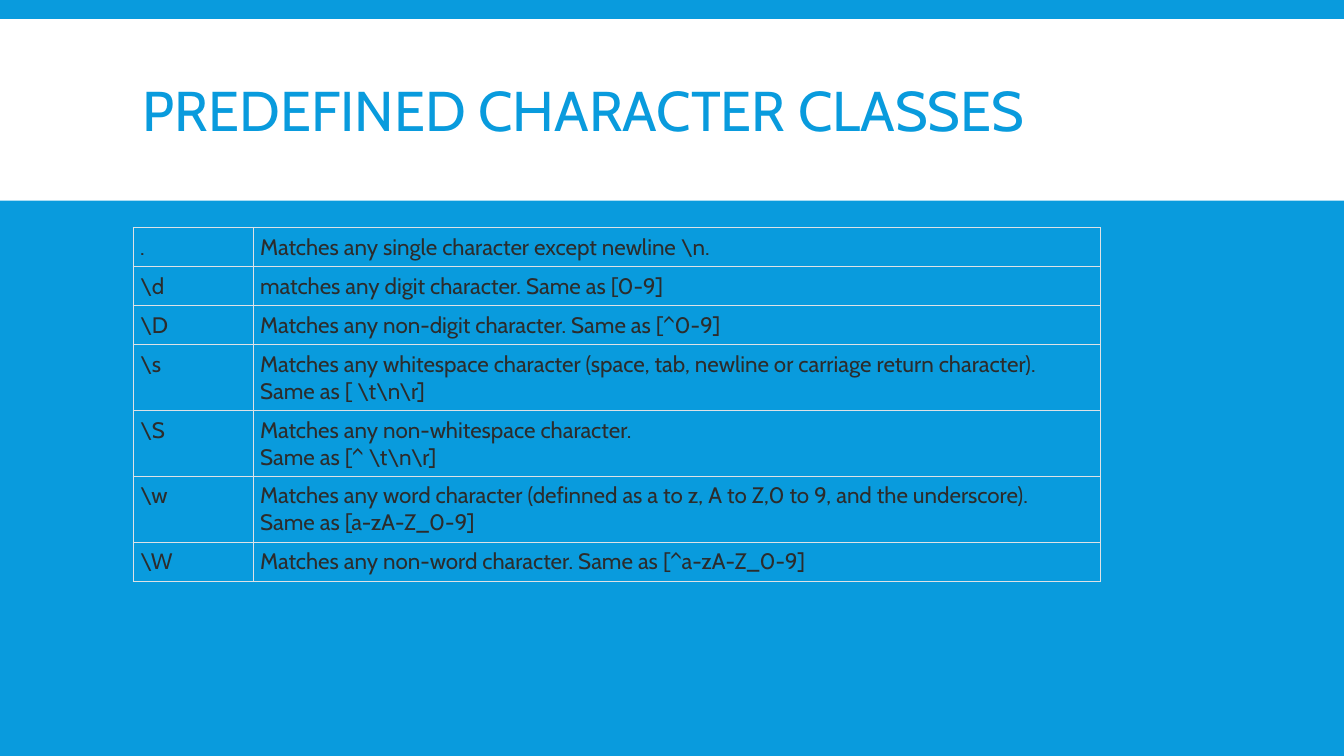
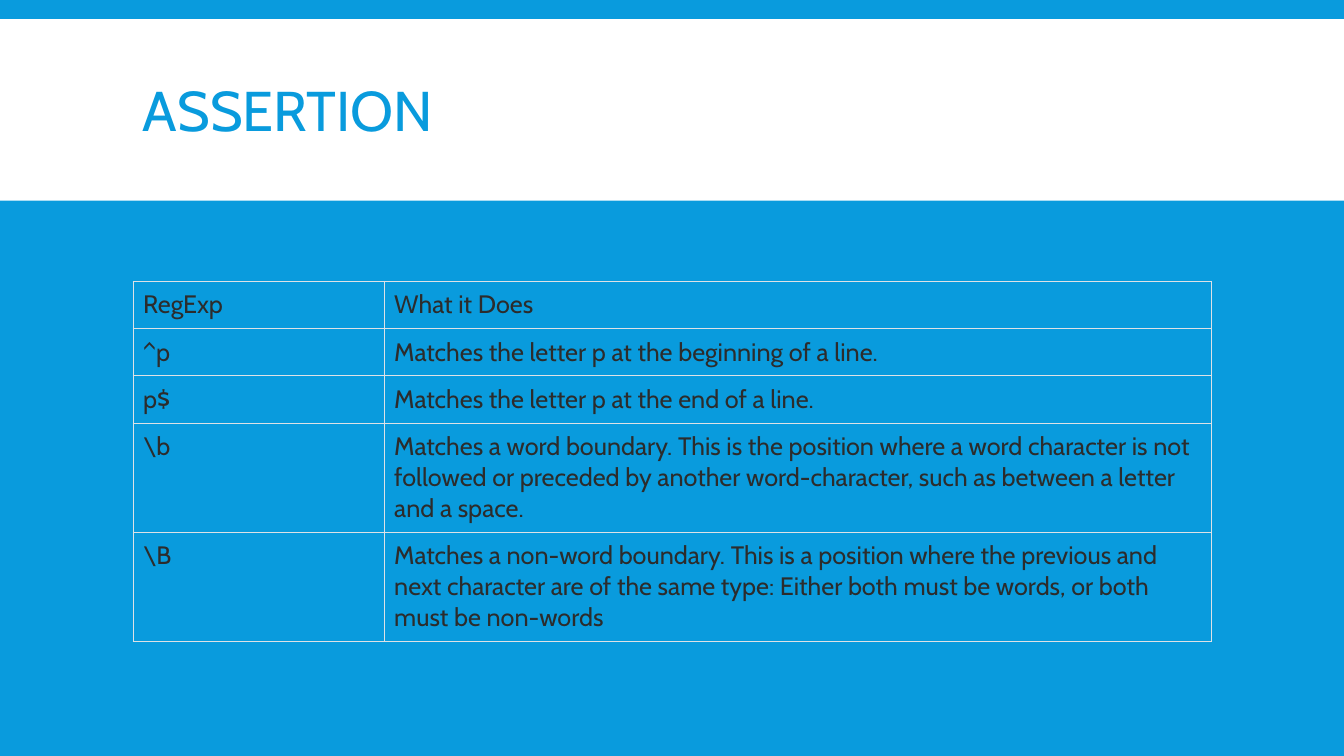
from copy import deepcopy
from dataclasses import dataclass

from lxml.etree import SubElement
from pptx import Presentation
from pptx.dml.color import RGBColor
from pptx.enum.shapes import MSO_SHAPE
from pptx.enum.text import MSO_ANCHOR
from pptx.oxml.ns import qn
from pptx.util import Inches, Pt


@dataclass(frozen=True)
class Theme:
    """Colours, font and type sizes of the deck."""
    blue: str = "099BDD"
    white: str = "FFFFFF"
    ink: str = "2C2C2C"
    rule: str = "DEE2E6"
    font: str = "Cabin"
    title_size: int = 40
    rule_width: float = 0.75


THEME = Theme()
WIDTH, HEIGHT = 13.33, 7.5
BAND = (0, 0.19, WIDTH, 1.8)
TITLE = (1.32, 0.31, 10.7, 1.65)

CHARACTER_CLASSES = [
    (".", r"Matches any single character except newline \n."),
    (r"\d", "matches any digit character. Same as [0-9]"),
    (r"\D", "Matches any non-digit character. Same as [^0-9]"),
    (r"\s", "Matches any whitespace character (space, tab, newline or carriage return character).\n"
            r"Same as [ \t\n\r]"),
    (r"\S", "Matches any non-whitespace character.\n"
            r"Same as [^ \t\n\r]"),
    (r"\w", "Matches any word character (definned as a to z, A to Z,0 to 9, and the underscore).\n"
            "Same as [a-zA-Z_0-9]"),
    (r"\W", "Matches any non-word character. Same as [^a-zA-Z_0-9]"),
]
ASSERTIONS = [
    ("RegExp", "What it Does"),
    ("^p", "Matches the letter p at the beginning of a line."),
    ("p$", "Matches the letter p at the end of a line."),
    (r"\b", "Matches a word boundary. This is the position where a word character is not followed or "
            "preceded by another word-character, such as between a letter and a space."),
    (r"\B", "Matches a non-word boundary. This is a position where the previous and next character are "
            "of the same type: Either both must be words, or both must be non-words"),
]


def write(frame, text, *, size, color, spacing=None):
    """Write one formatted paragraph, with its line breaks, into a text frame."""
    paragraph = frame.paragraphs[0]
    paragraph.text = text
    paragraph.line_spacing = spacing
    for run in paragraph.runs:
        run.font.name = THEME.font
        run.font.size = Pt(size)
        run.font.color.rgb = RGBColor.from_string(color)
    for line_break in paragraph._p.findall(qn("a:br")):
        line_break.insert(0, deepcopy(paragraph.runs[0]._r.rPr))


def add_title_band(slide, title):
    """Paint the blue ground and the white band, and set the title on it."""
    ground = slide.background.fill
    ground.solid()
    ground.fore_color.rgb = RGBColor.from_string(THEME.blue)
    band = slide.shapes.add_shape(MSO_SHAPE.RECTANGLE, *map(Inches, BAND))
    band.shadow.inherit = False
    band.fill.solid()
    band.fill.fore_color.rgb = RGBColor.from_string(THEME.white)
    band.line.fill.background()
    heading = slide.shapes.add_textbox(*map(Inches, TITLE)).text_frame
    heading.word_wrap = True
    heading.vertical_anchor = MSO_ANCHOR.MIDDLE
    write(heading, title, size=THEME.title_size, color=THEME.blue, spacing=0.85)


def rule_cell(cell):
    """Draw a thin rule on all four sides of a cell that has no fill."""
    properties = cell._tc.get_or_add_tcPr()
    for side in ("a:lnL", "a:lnR", "a:lnT", "a:lnB"):
        line = SubElement(properties, qn(side), w=str(Pt(THEME.rule_width)))
        SubElement(SubElement(line, qn("a:solidFill")), qn("a:srgbClr"), val=THEME.rule)
    cell.fill.background()


def add_pattern_table(slide, entries, *, left, top, columns, heights, size, inset):
    """Place a ruled table of patterns and their meanings."""
    box = map(Inches, (left, top, sum(columns), sum(heights)))
    table = slide.shapes.add_table(len(entries), len(columns), *box).table
    table.first_row = table.horz_banding = False
    for column, width in zip(table.columns, columns):
        column.width = Inches(width)
    for row, height, entry in zip(table.rows, heights, entries):
        row.height = Inches(height)
        for cell, text in zip(row.cells, entry):
            cell.margin_left = cell.margin_right = Inches(inset[0])
            cell.margin_top = cell.margin_bottom = Inches(inset[1])
            write(cell.text_frame, text, size=size, color=THEME.ink)
            rule_cell(cell)


def add_pattern_slide(deck, title, entries, **layout):
    """Add a slide with a title band above a table of patterns."""
    slide = deck.slides.add_slide(deck.slide_layouts[6])
    add_title_band(slide, title)
    add_pattern_table(slide, entries, left=TITLE[0], **layout)


def main():
    """Build and save the deck."""
    deck = Presentation()
    deck.slide_width, deck.slide_height = Inches(WIDTH), Inches(HEIGHT)
    add_pattern_slide(deck, "PREDEFINED CHARACTER CLASSES", CHARACTER_CLASSES, top=2.26,
                      columns=(1.19, 8.4), heights=[0.38] * 3 + [0.65] * 3 + [0.38],
                      size=16, inset=(0.07, 0.06))
    add_pattern_slide(deck, "ASSERTION", ASSERTIONS, top=2.79,
                      columns=(2.49, 8.21), heights=[0.47] * 3 + [1.08] * 2,
                      size=18, inset=(0.1, 0.08))
    deck.save("out.pptx")


if __name__ == "__main__":
    main()
